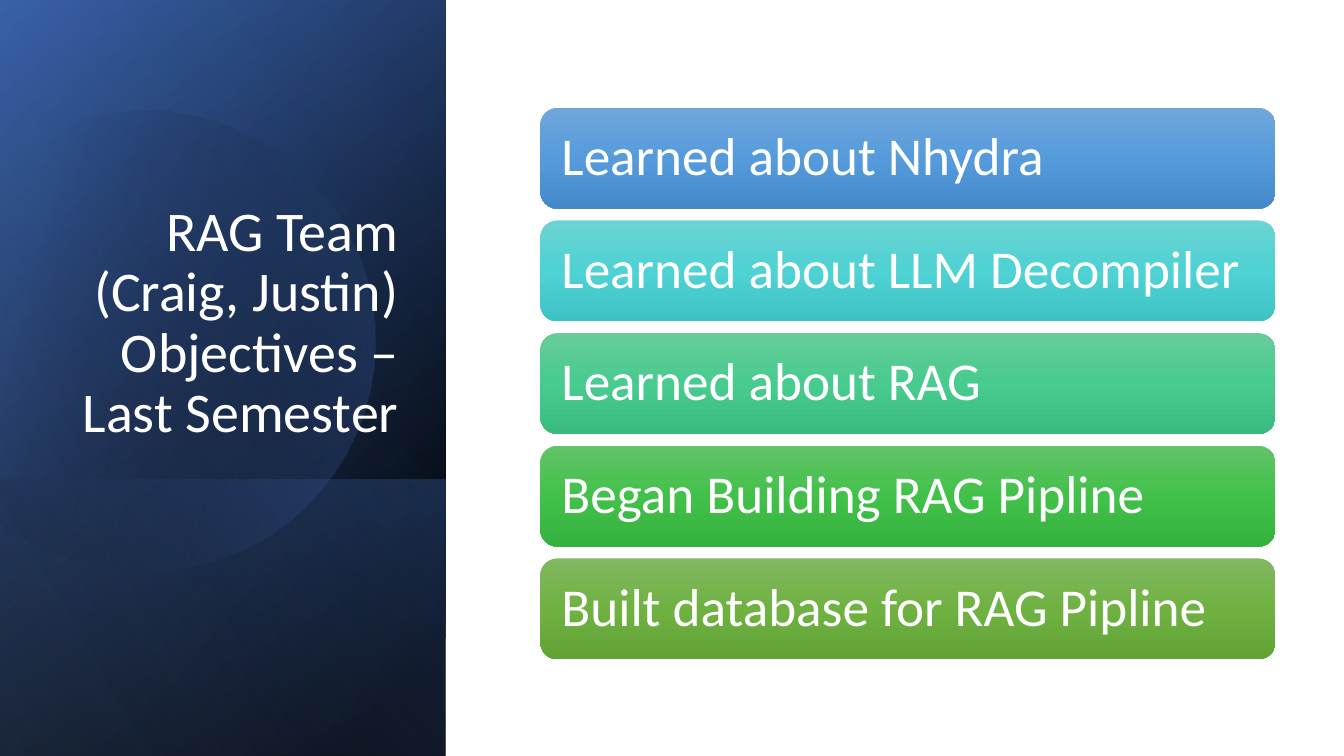
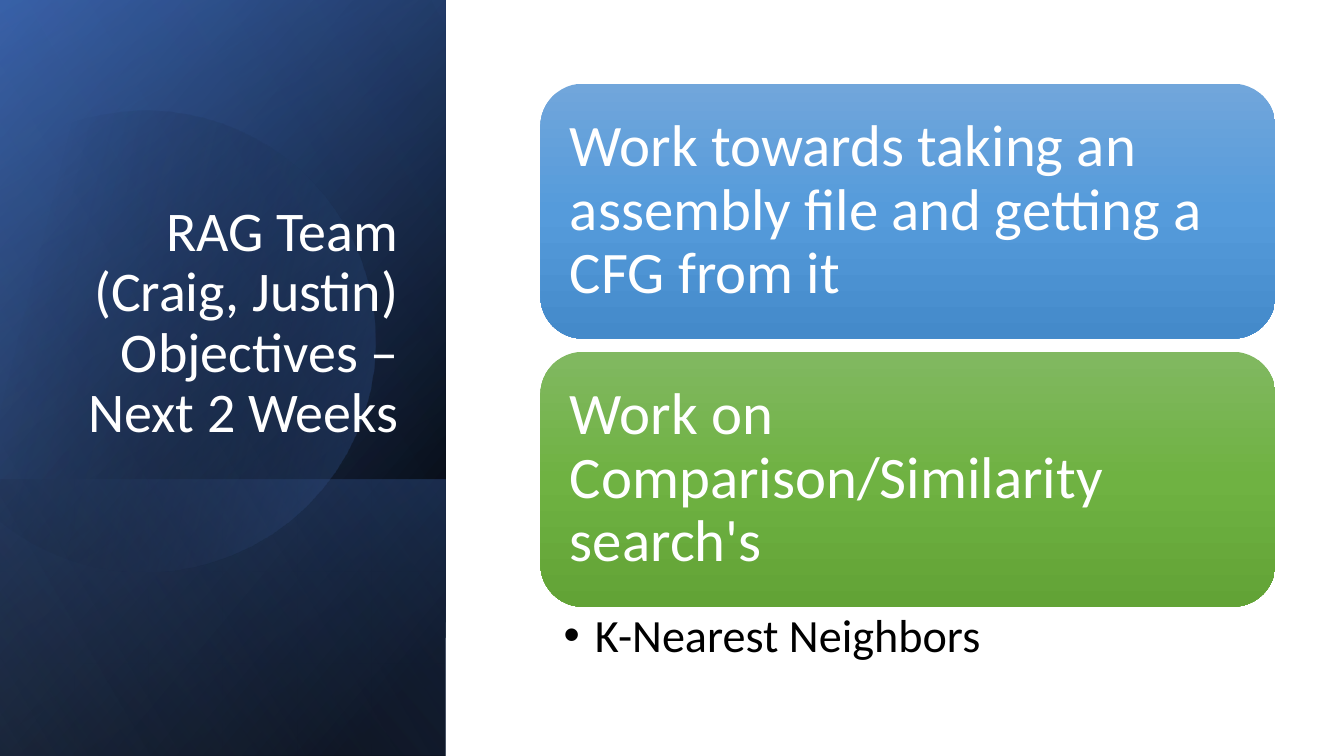
import math

import lxml.etree
import pptx
import pptx.dml.color
import pptx.enum.shapes
import pptx.enum.text
import pptx.oxml.ns
import pptx.util

Inches = pptx.util.Inches
RGBColor = pptx.dml.color.RGBColor
Shapes = pptx.enum.shapes.MSO_SHAPE
Align = pptx.enum.text.PP_ALIGN
Anchor = pptx.enum.text.MSO_ANCHOR
qn = pptx.oxml.ns.qn

FONT = "Calibri"
BLACK = RGBColor(0x00, 0x00, 0x00)
WHITE = RGBColor(0xFF, 0xFF, 0xFF)
NAVY = RGBColor(0x2F, 0x55, 0x97)
BLUE = RGBColor(0x44, 0x72, 0xC4)
PALE_BLUE = RGBColor(0x8F, 0xAA, 0xDC)

SKY_CARD = (RGBColor(0x71, 0xA6, 0xDB), RGBColor(0x55, 0x9B, 0xDB), RGBColor(0x44, 0x8A, 0xCA))
AQUA_CARD = (RGBColor(0x6C, 0xD3, 0xD3), RGBColor(0x4E, 0xD2, 0xD3), RGBColor(0x3E, 0xC2, 0xC3))
MINT_CARD = (RGBColor(0x67, 0xCC, 0x9A), RGBColor(0x47, 0xCB, 0x8E), RGBColor(0x39, 0xBB, 0x7F))
GREEN_CARD = (RGBColor(0x63, 0xC3, 0x68), RGBColor(0x42, 0xC1, 0x4A), RGBColor(0x34, 0xB2, 0x3D))
OLIVE_CARD = (RGBColor(0x81, 0xB8, 0x61), RGBColor(0x6F, 0xB2, 0x42), RGBColor(0x62, 0xA3, 0x36))

TITLE = "RAG Team (Craig, Justin) Objectives – "
SLIDES = [
    {
        "period": "Last Semester",
        "cards": [
            ("Learned about Nhydra", SKY_CARD),
            ("Learned about LLM Decompiler", AQUA_CARD),
            ("Learned about RAG", MINT_CARD),
            ("Began Building RAG Pipline", GREEN_CARD),
            ("Built database for RAG Pipline", OLIVE_CARD),
        ],
        "top": 1.07, "bottom": 6.54, "card_height": 1, "size": 38, "inset": 0.16,
    },
    {
        "period": "Next 2 Weeks",
        "cards": [
            ("Work towards taking an assembly file and getting a CFG from it", SKY_CARD),
            ("Work on Comparison/Similarity search's", OLIVE_CARD),
        ],
        "top": 0.83, "bottom": 6.02, "card_height": 2.53, "size": 42, "inset": 0.17,
        "bullet": "K-Nearest Neighbors",
    },
]
CARD_LEFT, CARD_WIDTH = 5.36, 7.29

FULL_PANEL = (-1.54, 1.54, 7.5, 4.42)
LOWER_PANEL = (0.84, 3.92, 2.74, 4.42)
PANELS_BELOW_DISC = [
    (FULL_PANEL, [(8, BLACK, 100), (100, NAVY, 100)], 50),
    (FULL_PANEL, [(0, BLACK, 0), (99, BLUE, 46)], 30),
    (LOWER_PANEL, [(2, BLUE, 29), (100, BLACK, 30)], 130),
]
PANEL_ABOVE_DISC = (FULL_PANEL, [(0, BLACK, 0), (99, PALE_BLUE, 11)], 120)

DISC_CENTRE = (1.585, 3.345)
DISC_TURN = 343.9
DISC_STOPS = [(29, BLACK, 0), (100, BLUE, 43)]
DISC_START = (1.49, 1.1)
DISC_SEGMENTS = [
    [(2.46, 1.12), (3.35, 1.77), (3.63, 2.75)],
    [(3.98, 3.97), (3.28, 5.23), (2.07, 5.58)],
    [(1.31, 5.8), (0.53, 5.61), (-0.03, 5.14)],
    [(-0.15, 5.03)],
    [(-0.15, 1.75)],
    [(0, 1.61)],
    [(0.23, 1.42), (0.5, 1.28), (0.8, 1.19)],
    [(1.03, 1.13), (1.26, 1.1), (1.49, 1.1)],
]
CURVE_STEPS = 16


def paint(shape, stops, angle):
    shape.shadow.inherit = False
    shape.line.fill.background()
    shape.fill.gradient()
    gradient = shape._element.spPr.find(qn("a:gradFill"))
    stop_list = gradient.find(qn("a:gsLst"))
    for stop in list(stop_list):
        stop_list.remove(stop)
    for position, colour, opacity in stops:
        stop = lxml.etree.SubElement(stop_list, qn("a:gs"), pos=str(position * 1000))
        tint = lxml.etree.SubElement(stop, qn("a:srgbClr"), val=str(colour))
        if opacity < 100:
            lxml.etree.SubElement(tint, qn("a:alpha"), val=str(opacity * 1000))
    gradient.find(qn("a:lin")).set("ang", str(angle * 60000))


def write(shape, text, *, size, colour=WHITE, align=Align.LEFT, anchor=Anchor.MIDDLE,
          insets=(0.1, 0.05, 0.1, 0.05), bullet_indent=None):
    frame = shape.text_frame
    frame.word_wrap = True
    frame.vertical_anchor = anchor
    frame.margin_left, frame.margin_top, frame.margin_right, frame.margin_bottom = map(Inches, insets)
    paragraph = frame.paragraphs[0]
    paragraph.alignment = align
    paragraph.line_spacing = 0.9
    run = paragraph.add_run()
    run.text = text
    run.font.name = FONT
    run.font.size = pptx.util.Pt(size)
    run.font.color.rgb = colour
    if bullet_indent:
        properties = paragraph._p.get_or_add_pPr()
        properties.set("marL", str(Inches(bullet_indent)))
        properties.set("indent", str(-Inches(bullet_indent)))
        lxml.etree.SubElement(properties, qn("a:buFont"), typeface="Arial")
        lxml.etree.SubElement(properties, qn("a:buChar"), char="•")


def add_panel(slide, box, stops, angle):
    panel = slide.shapes.add_shape(Shapes.RECTANGLE, *map(Inches, box))
    panel.rotation = 90
    panel._element.spPr.find(qn("a:xfrm")).set("flipH", "1")
    paint(panel, stops, angle)


def disc_outline():
    points = [DISC_START]
    for segment in DISC_SEGMENTS:
        if len(segment) == 1:
            points += segment
            continue
        controls = [points[-1], *segment]
        for step in range(1, CURVE_STEPS + 1):
            t = step / CURVE_STEPS
            weights = [math.comb(3, i) * t**i * (1 - t)**(3 - i) for i in range(4)]
            points.append(tuple(sum(w * c[axis] for w, c in zip(weights, controls))
                                for axis in (0, 1)))
    return points


def unturn(point):
    angle = math.radians(-DISC_TURN)
    dx, dy = point[0] - DISC_CENTRE[0], point[1] - DISC_CENTRE[1]
    return (Inches(DISC_CENTRE[0] + dx * math.cos(angle) - dy * math.sin(angle)),
            Inches(DISC_CENTRE[1] + dx * math.sin(angle) + dy * math.cos(angle)))


def add_disc(slide):
    start, *others = map(unturn, disc_outline())
    builder = slide.shapes.build_freeform(*start)
    builder.add_line_segments(others, close=True)
    disc = builder.convert_to_shape()
    disc.rotation = DISC_TURN
    paint(disc, DISC_STOPS, 30)


def add_side_band(slide, title):
    for panel in PANELS_BELOW_DISC:
        add_panel(slide, *panel)
    add_disc(slide)
    add_panel(slide, *PANEL_ABOVE_DISC)
    title_box = slide.shapes.add_textbox(*map(Inches, (0.64, 1.84, 3.41, 2.62)))
    write(title_box, title, size=40, align=Align.RIGHT, anchor=Anchor.BOTTOM)


def add_cards(slide, content):
    cards, height = content["cards"], content["card_height"]
    pitch = (content["bottom"] - content["top"] - height) / (len(cards) - 1)
    for row, (text, shades) in enumerate(cards):
        box = (CARD_LEFT, content["top"] + row * pitch, CARD_WIDTH, height)
        card = slide.shapes.add_shape(Shapes.ROUNDED_RECTANGLE, *map(Inches, box))
        paint(card, [(place, shade, 100) for place, shade in zip((0, 50, 100), shades)], 90)
        write(card, text, size=content["size"], insets=[content["inset"]] * 4)
    if "bullet" in content:
        box = (CARD_LEFT, content["bottom"], CARD_WIDTH, 0.76)
        bullet_box = slide.shapes.add_textbox(*map(Inches, box))
        write(bullet_box, content["bullet"], size=33, colour=BLACK, anchor=Anchor.TOP,
              insets=(0.23, 0.06, 0.33, 0.06), bullet_indent=0.31)


def main():
    deck = pptx.Presentation()
    deck.slide_width, deck.slide_height = Inches(13.33), Inches(7.5)
    for content in SLIDES:
        slide = deck.slides.add_slide(deck.slide_layouts[6])
        add_side_band(slide, TITLE + content["period"])
        add_cards(slide, content)
    deck.save("out.pptx")


if __name__ == "__main__":
    main()
